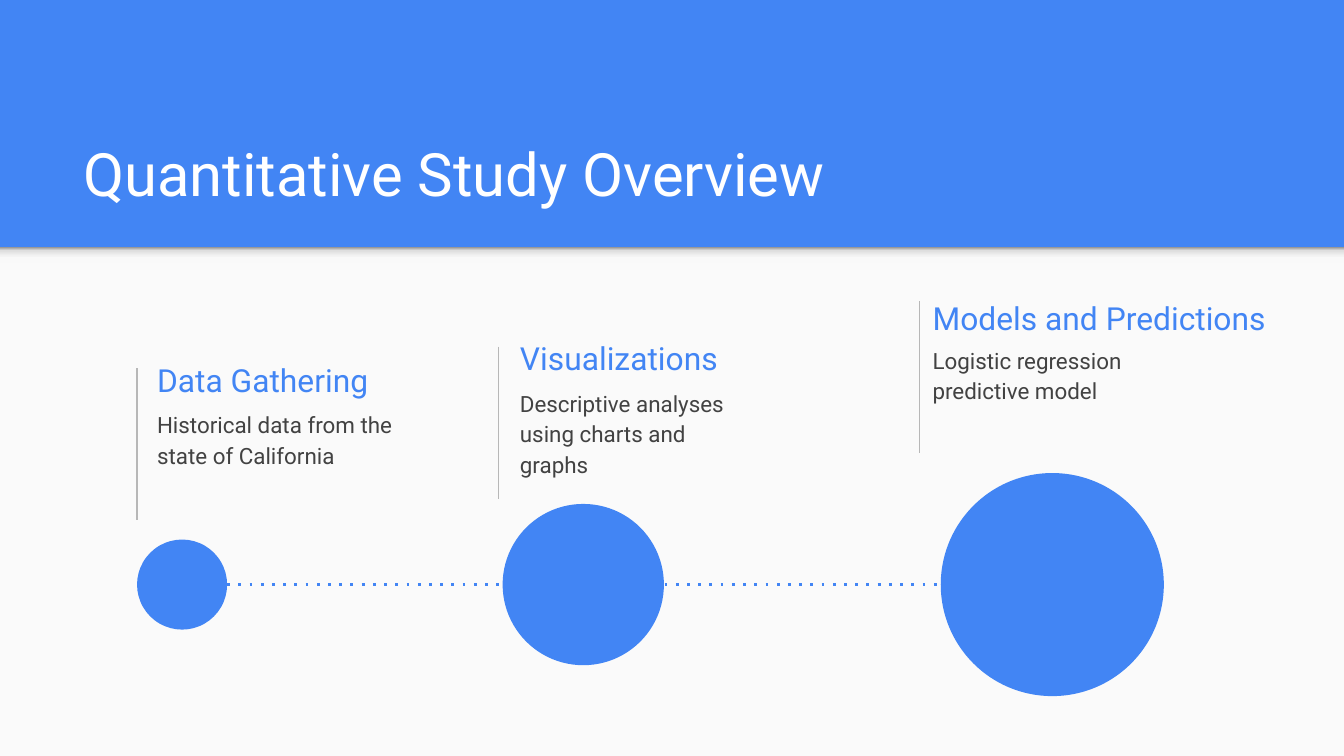
import pptx
import pptx.dml.color
import pptx.enum.dml
import pptx.enum.shapes
import pptx.enum.text
import pptx.oxml
import pptx.oxml.ns
import pptx.util

WIDTH = 10
HEIGHT = WIDTH * 9 / 16
HEADER_BOTTOM = 1.84
TIMELINE_Y = 4.35
RULE_LENGTH = 1.13
HEADING_HEIGHT = 0.43
BODY_WIDTH = 1.98
FONT = "Roboto"
COLORS = {
    "blue": "4285F4",
    "panel": "FAFAFA",
    "white": "FFFFFF",
    "text": "424242",
    "rule": "B7B7B7",
}
SHADOW_STOPS = [(0, "F9F9F9"), (36, "F9F9F9"), (80, "DEDEDE"), (100, "999999")]
# heading, description, rule (x, y), text (x, y), heading width,
# description offset and height, circle left and diameter
STEPS = [
    ("Data Gathering", "Historical data from the state of California",
     (1.02, 2.74), (1.07, 2.61), 1.98, 0.32, 0.95, 1.02, 0.67),
    ("Visualizations", "Descriptive analyses using charts and graphs",
     (3.71, 2.58), (3.77, 2.45), 1.98, 0.32, 0.63, 3.74, 1.2),
    ("Models and Predictions", "Logistic regression predictive model",
     (6.84, 2.24), (6.84, 2.15), 2.72, 0.30, 0.63, 7, 1.66),
]


def inches(*lengths):
    return [pptx.util.Inches(length) for length in lengths]


def rgb(name):
    return pptx.dml.color.RGBColor.from_string(COLORS[name])


def add_filled(shapes, kind, area, color):
    shape = shapes.add_shape(kind, *inches(*area))
    shape.shadow.inherit = False
    shape.fill.solid()
    shape.fill.fore_color.rgb = rgb(color)
    shape.line.fill.background()
    return shape


def add_line(shapes, start, end, color, weight):
    line = shapes.add_connector(
        pptx.enum.shapes.MSO_CONNECTOR.STRAIGHT, *inches(*start, *end))
    line.line.color.rgb = rgb(color)
    line.line.width = pptx.util.Pt(weight)
    line._element.spPr.append(pptx.oxml.parse_xml(
        f"<a:effectLst {pptx.oxml.ns.nsdecls('a')}/>"))
    return line


def write_text(box, text, size, color, anchor):
    frame = box.text_frame
    frame.text = text
    frame.word_wrap = True
    frame.auto_size = pptx.enum.text.MSO_AUTO_SIZE.NONE
    frame.vertical_anchor = anchor
    frame.margin_left, frame.margin_top, frame.margin_right, frame.margin_bottom = (
        inches(0.1, 0.1, 0.1, 0.1))
    para = frame.paragraphs[0]
    para.alignment = pptx.enum.text.PP_ALIGN.LEFT
    font = para.runs[0].font
    font.name = FONT
    font.size = pptx.util.Pt(size)
    font.color.rgb = rgb(color)
    return para


def add_panel(page):
    """Light content panel with a soft shadow under the header."""
    rectangle = pptx.enum.shapes.MSO_SHAPE.RECTANGLE
    add_filled(page.shapes, rectangle,
               (0, HEADER_BOTTOM, WIDTH, HEIGHT - HEADER_BOTTOM), "panel")
    shadow = add_filled(page.shapes, rectangle,
                        (0, HEADER_BOTTOM, WIDTH, 0.12), "panel")
    shadow.fill.gradient()
    shadow.fill.gradient_angle = 90
    stops = shadow._element.spPr.find(".//" + pptx.oxml.ns.qn("a:gsLst"))
    for stop in list(stops):
        stops.remove(stop)
    for position, color in SHADOW_STOPS:
        stops.append(pptx.oxml.parse_xml(
            f"<a:gs {pptx.oxml.ns.nsdecls('a')} pos='{position * 1000}'>"
            f"<a:srgbClr val='{color}'/></a:gs>"))


def set_title(page, text):
    title = page.shapes.title
    title.left, title.top, title.width, title.height = inches(0.52, 0.81, 8.99, 0.84)
    write_text(title, text, 32, "white", pptx.enum.text.MSO_ANCHOR.BOTTOM)


def add_step_text(page, heading, description, rule, corner, width, offset, height):
    x, y = rule
    add_line(page.shapes, rule, (x, y + RULE_LENGTH), "rule", 0.75)
    left, top = corner
    box = page.shapes.add_textbox(*inches(left, top, width, HEADING_HEIGHT))
    write_text(box, heading, 17, "blue", pptx.enum.text.MSO_ANCHOR.MIDDLE)
    box = page.shapes.add_textbox(*inches(left, top + offset, BODY_WIDTH, height))
    para = write_text(box, description, 12, "text", pptx.enum.text.MSO_ANCHOR.TOP)
    para.line_spacing = 1.15
    para.space_after = pptx.util.Pt(16)


def add_timeline(page, circles):
    """Dotted line joining circles that grow from left to right."""
    group = page.shapes.add_group_shape()
    first_left, first_size = circles[0]
    line = add_line(group.shapes, (first_left + first_size, TIMELINE_Y),
                    (circles[-1][0], TIMELINE_Y), "blue", 1.5)
    line.line.dash_style = pptx.enum.dml.MSO_LINE.ROUND_DOT
    line._element.spPr.find(".//" + pptx.oxml.ns.qn("a:prstDash")).set("val", "dot")
    for left, size in circles:
        add_filled(group.shapes, pptx.enum.shapes.MSO_SHAPE.OVAL,
                   (left, TIMELINE_Y - size / 2, size, size), "blue")


def main():
    deck = pptx.Presentation()
    deck.slide_width, deck.slide_height = inches(WIDTH, HEIGHT)
    page = deck.slides.add_slide(deck.slide_layouts.get_by_name("Title Only"))
    page.background.fill.solid()
    page.background.fill.fore_color.rgb = rgb("blue")
    add_panel(page)
    set_title(page, "Quantitative Study Overview")
    for *step, left, size in STEPS:
        add_step_text(page, *step)
    add_timeline(page, [step[-2:] for step in STEPS])
    deck.save("out.pptx")


if __name__ == "__main__":
    main()
